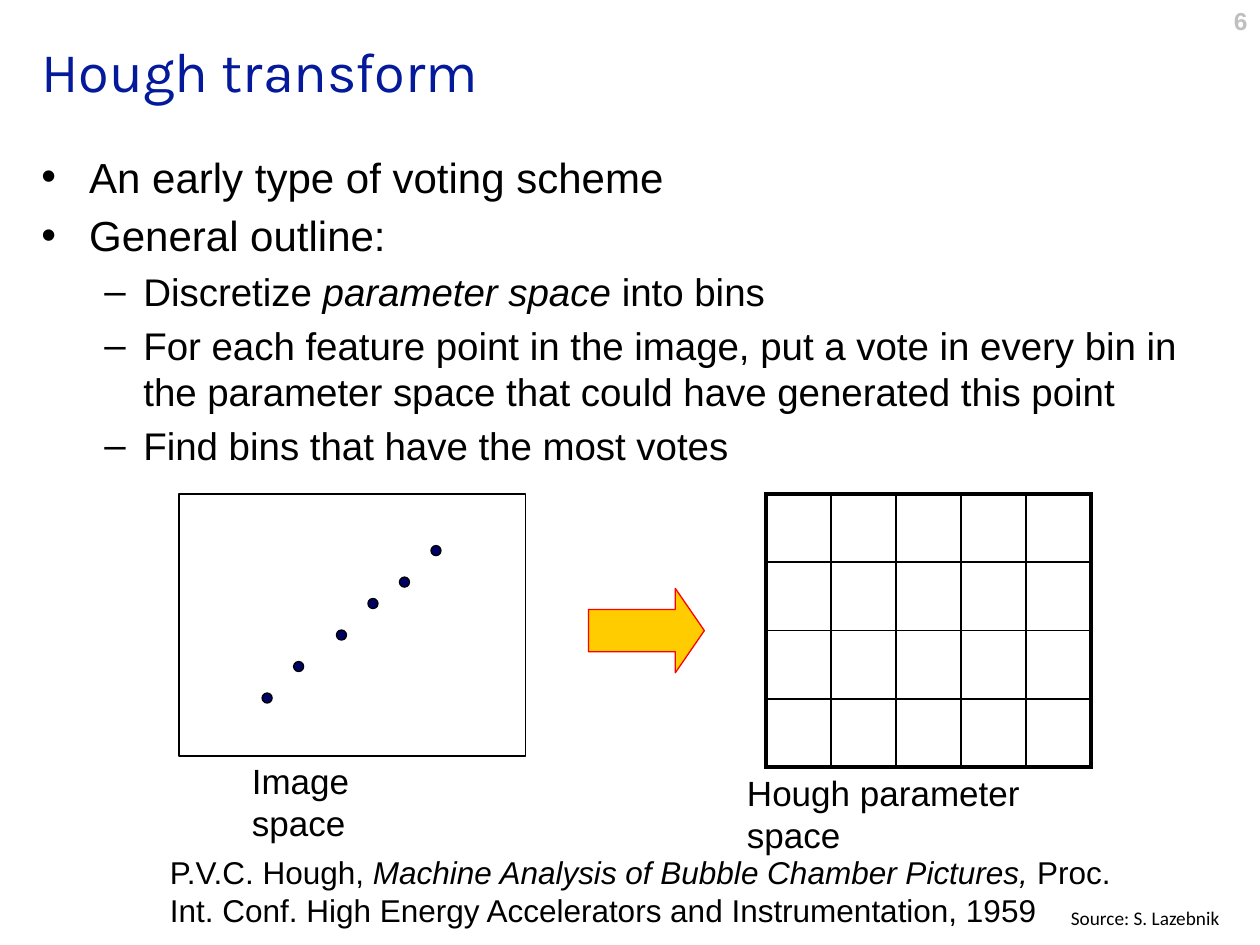
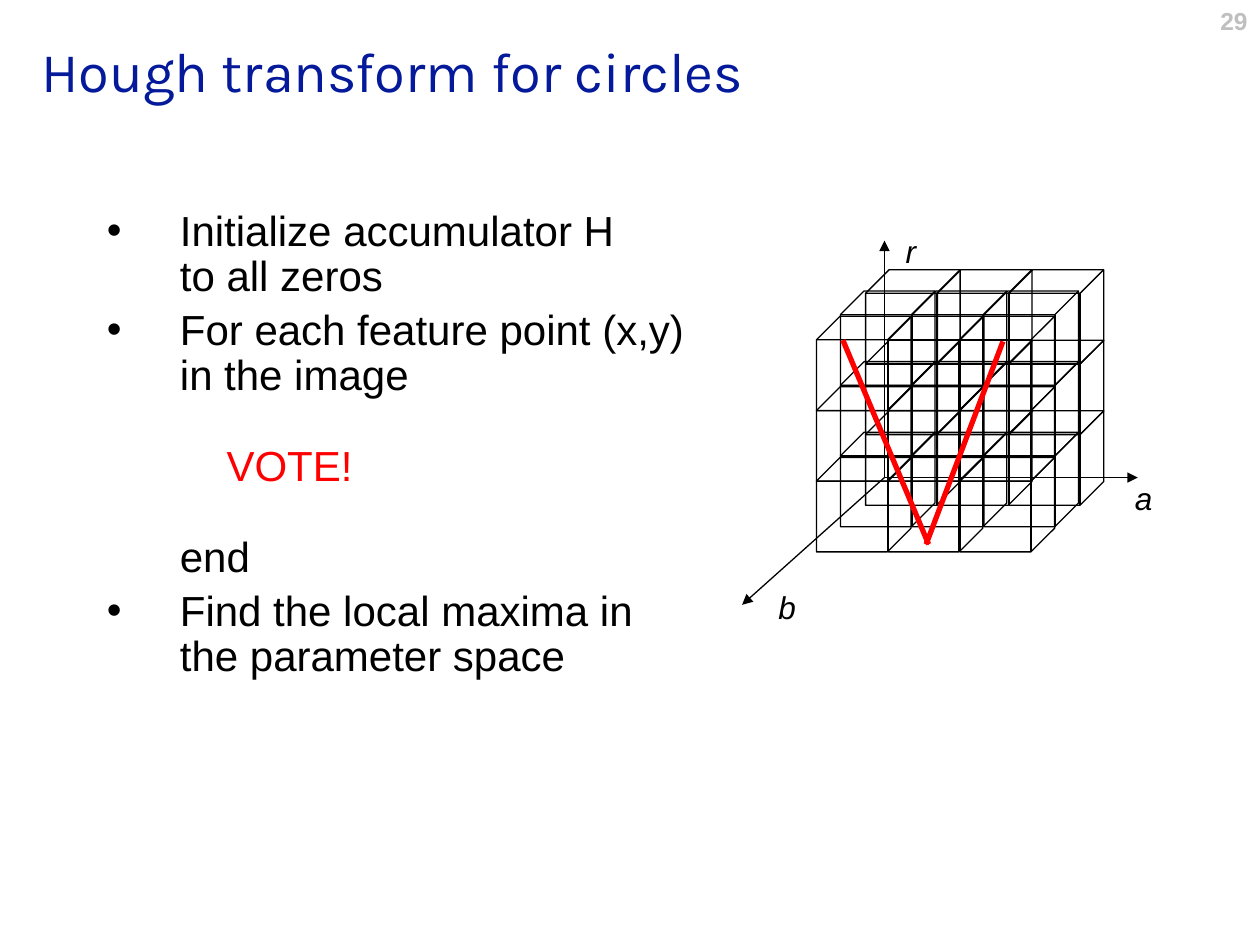
import lxml.etree
import pptx
import pptx.dml.color
import pptx.enum.shapes
import pptx.enum.text
import pptx.oxml.ns
import pptx.util

Inches, Pt = pptx.util.Inches, pptx.util.Pt
qn, add = pptx.oxml.ns.qn, lxml.etree.SubElement
Shape = pptx.enum.shapes.MSO_SHAPE
RIGHT = pptx.enum.text.PP_ALIGN.RIGHT
MIDDLE = pptx.enum.text.MSO_ANCHOR.MIDDLE
STRAIGHT = pptx.enum.shapes.MSO_CONNECTOR.STRAIGHT

ink = {"black": "000000", "title": "041A9B", "page": "BFBFBF", "dot": "000065",
       "red": "FF0000", "gold": "FFCC00"}
rgb = {name: pptx.dml.color.RGBColor.from_string(code) for name, code in ink.items()}
base = {"name": "Arial", "size": Pt(24), "bold": False, "italic": False}
slant = {"italic": True}


def write(shapes, at, paras, font={}, color="black", frame={}):
    """Add a text box; paras holds (format, runs), runs hold (text, font, colour)."""
    box = shapes.add_textbox(*map(Inches, at)).text_frame
    for key, value in ({"word_wrap": True} | frame).items():
        setattr(box, key, value)
    for num, (form, runs) in enumerate(paras):
        para = box.paragraphs[0] if num == 0 else box.add_paragraph()
        form = dict(form)
        bullet, left, hang = [form.pop(key, None) for key in ("bullet", "left", "hang")]
        size = form.pop("size", font.get("size", base["size"]))
        for key, value in form.items():
            setattr(para, key, value)
        props = para._p.get_or_add_pPr()
        if left:
            props.set("marL", str(Inches(left)))
            props.set("indent", str(-Inches(hang or 0)))
        if bullet:
            add(props, qn("a:buFont"), typeface="Arial")
            add(props, qn("a:buChar"), char=bullet)
        for words, style, tint in runs:
            for row, part in enumerate(words.split("\n")):
                if row:
                    para.add_line_break()
                run = para.add_run()
                run.text = part
                for key, value in (base | font | {"size": size} | style).items():
                    setattr(run.font, key, value)
                run.font.color.rgb = rgb[tint or color]


def link(shapes, start, end, color="black", width=0.75, arrow=False):
    line = shapes.add_connector(STRAIGHT, *map(Inches, start + end))
    line.line.color.rgb = rgb[color]
    line.line.width = Pt(width)
    if arrow:
        add(line.line._ln, qn("a:tailEnd"), type="triangle")
    add(line._element.spPr, qn("a:effectLst"))


deck = pptx.Presentation()
deck.slide_width, deck.slide_height = Inches(10), Inches(7.5)

# Page number and title on each slide
pages = []
for page, title in (("6", "Hough transform"), ("29", "Hough transform for circles")):
    slide = deck.slides.add_slide(deck.slide_layouts[6])
    write(slide.shapes, (7.67, 0, 2.33, 0.4), [({"alignment": RIGHT}, [(page, {}, None)])],
          {"size": Pt(14), "bold": True}, "page")
    write(slide.shapes, (0.23, 0.18, 9.54, 0.76), [({}, [(title, {}, None)])],
          {"name": "Karla", "size": Pt(32)}, "title", {"vertical_anchor": MIDDLE})
    pages.append(slide.shapes)
vote, circle = pages

# Slide 1: outline
top = {"bullet": "•", "left": 0.38, "hang": 0.38, "space_before": Pt(4.8)}
sub = {"bullet": "–", "left": 0.81, "hang": 0.31, "space_before": Pt(4.4),
       "size": Pt(22), "level": 1}
write(vote, (0.23, 1.15, 9.54, 5.77), [
    (top, [("An early type of voting scheme", {}, None)]),
    (top, [("General outline:", {}, None)]),
    (sub, [("Discretize ", {}, None), ("parameter space ", slant, None),
           ("into bins", {}, None)]),
    (sub, [("For each feature point in the image, put a vote in every bin in the "
            "parameter space that could have generated this point", {}, None)]),
    (sub, [("Find bins that have the most votes", {}, None)])])
write(vote, (1.25, 6.72, 7.8, 0.7), [({}, [
    ("P.V.C. Hough, ", {}, None),
    ("Machine Analysis of Bubble Chamber Pictures,", slant, None),
    (" Proc. Int. Conf. High Energy Accelerators and Instrumentation, 1959", {}, None)])],
    {"size": Pt(18)}, frame={"vertical_anchor": MIDDLE})

# Image space with its points, and the arrow
dots = [(2.08, 5.5), (2.33, 5.25), (2.67, 5), (2.92, 4.75), (3.17, 4.58), (3.42, 4.33)]
forms = [(Shape.RECTANGLE, (1.42, 3.92, 2.75, 2.08), None, "black"),
         (Shape.RIGHT_ARROW, (4.67, 4.67, 0.92, 0.67), "gold", "red")]
forms += [(Shape.OVAL, dot + (0.08, 0.08), "dot", "black") for dot in dots]
for kind, at, fill, edge in forms:
    form = vote.add_shape(kind, *map(Inches, at))
    form.shadow.inherit = False
    form.line.color.rgb = rgb[edge]
    form.line.width = Pt(0.75)
    if fill:
        form.fill.solid()
        form.fill.fore_color.rgb = rgb[fill]
    else:
        form.fill.background()
    if kind == Shape.RIGHT_ARROW:
        form.adjustments[1] = 0.344

# Parameter space: thick outer border, thin inner ones
rows, cols = 4, 5
grid = vote.add_table(rows, cols, *map(Inches, (6.08, 3.92, 2.58, 2.17))).table
grid.first_row = grid.horz_banding = False
for row in range(rows):
    for col in range(cols):
        cell = grid.cell(row, col)
        outer = {"L": col == 0, "R": col == cols - 1, "T": row == 0, "B": row == rows - 1}
        for side, thick in outer.items():
            edge = add(cell._tc.get_or_add_tcPr(), qn("a:ln" + side),
                       w=str(Pt(2.25 if thick else 1)))
            add(add(edge, qn("a:solidFill")), qn("a:srgbClr"), val=ink["black"])
        cell.fill.background()

for at, label in (((1.9, 5.98, 1.79, 0.43), "Image space"),
                  ((5.83, 6.07, 3.18, 0.43), "Hough parameter space")):
    write(vote, at, [({}, [(label, {}, None)])], {"size": Pt(20)},
          frame={"margin_right": Inches(0.5)})
write(vote, (8.4, 7.14, 1.5, 0.29), [({}, [("Source: S. Lazebnik", {}, None)])],
      {"name": "Calibri", "size": Pt(11)})

# Slide 2: steps
step = {"bullet": "•", "left": 0.58, "hang": 0.58, "space_before": Pt(4.8),
        "line_spacing": 0.9}
inner = {"left": 0.58, "space_before": Pt(26), "line_spacing": 0.9}
write(circle, (0.75, 1.62, 8.5, 5.46), [
    (step, [("Initialize accumulator H\nto all zeros", {}, None)]),
    (step, [("For each feature point (x,y)\nin the image", {}, None)]),
    (inner | {"left": 0.95}, [("VOTE!", {}, "red")]),
    (inner, [("end", {}, None)]),
    (step, [("Find the local maxima in\nthe parameter space", {}, None)])])

# Accumulator: 3 x 3 x 3 cubes, each level drawn from back to front
cubes = circle.add_group_shape().shapes
for level in range(3):
    for left, high in ((6.87, 2.14), (6.67, 2.31), (6.48, 2.51)):
        for col in (1, 0, 2):
            cube = cubes.add_shape(Shape.CUBE, Inches(left + 0.57 * col),
                                   Inches(high + 0.56 * level), Inches(0.75), Inches(0.75))
            cube.shadow.inherit = False
            cube.fill.background()
            cube.line.color.rgb = rgb["black"]
            cube.line.width = Pt(0.75)

# Axes and their names
axes = circle.add_group_shape().shapes
for name, tip, at in (("a", (9.03, 3.79), (8.91, 3.75, 0.34, 0.4)),
                      ("b", (5.89, 4.8), (6.08, 4.62, 0.34, 0.4)),
                      ("r", (7.02, 1.91), (7.09, 1.79, 0.33, 0.57))):
    link(axes, (7.02, 3.79), tip, arrow=True)
    write(axes, at, [({}, [(name, slant, None)])], {"size": Pt(18)},
          frame={"word_wrap": False})

# Cone of votes
link(circle, (7.37, 4.32), (6.69, 2.7), "red", 3)
link(circle, (7.35, 4.32), (7.96, 2.71), "red", 3)

deck.save("out.pptx")
